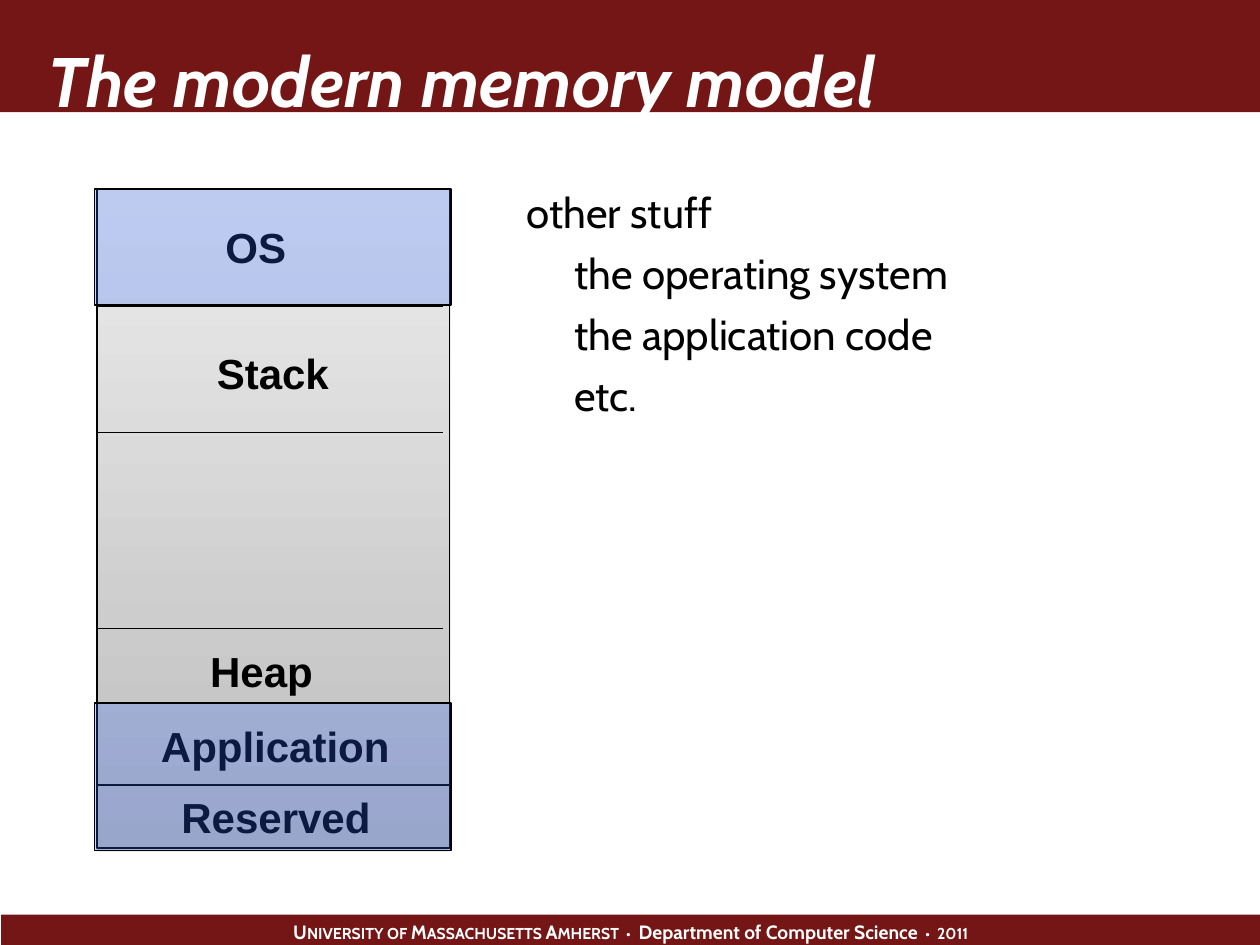
from dataclasses import dataclass

from lxml import etree
from pptx import Presentation
from pptx.dml.color import RGBColor
from pptx.enum.shapes import MSO_CONNECTOR, MSO_SHAPE
from pptx.enum.text import MSO_ANCHOR, PP_ALIGN
from pptx.oxml.ns import qn
from pptx.util import Inches, Pt

RECT = MSO_SHAPE.RECTANGLE
LINE = MSO_CONNECTOR.STRAIGHT
CENTER, LEFT = PP_ALIGN.CENTER, PP_ALIGN.LEFT
TOP, MIDDLE, BOTTOM = MSO_ANCHOR.TOP, MSO_ANCHOR.MIDDLE, MSO_ANCHOR.BOTTOM


@dataclass(frozen=True)
class Theme:
    maroon: str = "741615"
    white: str = "FFFFFF"
    black: str = "000000"
    blue: str = "3366FF"
    shade: str = "808080"
    grays: tuple = ("EDEDED", "BCBCBC")
    head: str = "Cabin"
    label: str = "Arial"
    title: int = 40
    body: int = 24
    foot: int = 11
    small: int = 9
    rule: float = 0.75


THEME = Theme()


def rgb(code):
    return RGBColor.from_string(code)


def style(font, size, name, color, **extra):
    for key, value in dict(size=Pt(size), name=name, **extra).items():
        setattr(font, key, value)
    font.color.rgb = rgb(color)


def add_sub(parent, tag, **attrs):
    return etree.SubElement(parent, qn(tag), {k: str(v) for k, v in attrs.items()})


def add_rect(slide, box, fill=None, alpha=None, edge=False):
    shape = slide.shapes.add_shape(RECT, *map(Inches, box))
    shape.shadow.inherit = False
    if fill:
        shape.fill.solid()
        shape.fill.fore_color.rgb = rgb(fill)
    if alpha:
        color = shape.fill._xPr.find(".//" + qn("a:srgbClr"))
        add_sub(color, "a:alpha", val=alpha * 1000)
    if edge:
        shape.line.color.rgb = rgb(THEME.black)
        shape.line.width = Pt(THEME.rule)
    else:
        shape.line.fill.background()
    return shape


def add_text(slide, box, lines, anchor=TOP, align=LEFT, wrap=True, **font):
    """Each line is a pair of text and left indent in inches."""
    frame = slide.shapes.add_textbox(*map(Inches, box)).text_frame
    frame.word_wrap = wrap
    frame.vertical_anchor = anchor
    for i, (text, indent) in enumerate(lines):
        para = frame.add_paragraph() if i else frame.paragraphs[0]
        para.text = text
        para.alignment = align
        if i:
            para.space_before = Pt(6)
        if indent:
            para._p.get_or_add_pPr().set("marL", str(Inches(indent)))
        style(para.runs[0].font, **font)


def add_rule(slide, left, right, y):
    rule = slide.shapes.add_connector(LINE, *map(Inches, (left, y, right, y)))
    rule.line.color.rgb = rgb(THEME.black)
    rule.line.width = Pt(THEME.rule)
    add_sub(rule._element.spPr, "a:effectLst")


def add_stack(slide, box):
    shape = add_rect(slide, box, edge=True)
    shape.fill.gradient()
    shape.fill.gradient_angle = 270
    for stop, color in zip(shape.fill.gradient_stops, THEME.grays):
        stop.color.rgb = rgb(color)
    effects = shape._element.spPr.find(qn("a:effectLst"))
    shadow = add_sub(effects, "a:outerShdw", dist=Pt(1.6), dir=5400000, rotWithShape=0)
    color = add_sub(shadow, "a:srgbClr", val=THEME.shade)
    add_sub(color, "a:alpha", val=38000)


def add_footer(slide):
    frame = add_rect(slide, (0.01, 7.26, 9.99, 0.27), THEME.maroon).text_frame
    frame.vertical_anchor = TOP
    para = frame.paragraphs[0]
    para.alignment = CENTER
    para.line_spacing = 0.99
    parts = ["U", "NIVERSITY OF ", "M", "ASSACHUSETTS ", "A", "MHERST  • ",
             " Department of Computer Science", "  •  2011"]
    for i, text in enumerate(parts):
        run = para.add_run()
        run.text = text
        size = THEME.small if i % 2 else THEME.foot
        style(run.font, size, THEME.head, THEME.white, bold=True)


def main():
    deck = Presentation()
    deck.slide_width, deck.slide_height = Inches(10), Inches(7.5)
    slide = deck.slides.add_slide(deck.slide_layouts[6])

    # Footer and title bands
    add_footer(slide)
    add_rect(slide, (0, 0, 10, 0.89), THEME.maroon)
    add_text(slide, (0.28, 0.12, 8.33, 0.89), [("The modern memory model", 0)],
             anchor=BOTTOM, size=THEME.title, name=THEME.head,
             color=THEME.white, bold=True, italic=True)

    # Notes beside the memory column
    notes = [("other stuff", 0), ("the operating system", 0.38),
             ("the application code", 0.38), ("etc.", 0.38)]
    add_text(slide, (4.08, 1.43, 5.71, 5.03), notes,
             size=THEME.body, name=THEME.head, color=THEME.black)

    # Memory column and its dividers
    add_stack(slide, (0.77, 1.5, 2.8, 5.23))
    for y, right in [(2.43, 3.52), (3.43, 3.52), (4.99, 3.52),
                     (5.58, 3.57), (6.23, 3.57)]:
        add_rule(slide, 0.77, right, y)

    # Segment names: text, left, top, width, with room to stay on one line
    names = [("OS", 1.59, 1.71, 0.88), ("Stack", 1.52, 2.71, 1.29),
             ("Heap", 1.47, 5.07, 1.21), ("Application", 1.08, 5.67, 2.21),
             ("Reserved", 1.24, 6.23, 1.9)]
    for text, left, top, width in names:
        add_text(slide, (left, top, width, 0.5), [(text, 0)], anchor=MIDDLE,
                 align=CENTER, wrap=False, size=THEME.body, name=THEME.label,
                 color=THEME.black, bold=True)

    # Tints over the segments outside stack and heap
    for top, height in [(1.5, 0.92), (5.58, 1.17)]:
        add_rect(slide, (0.75, top, 2.83, height), THEME.blue, alpha=25, edge=True)

    deck.save("out.pptx")


if __name__ == "__main__":
    main()
